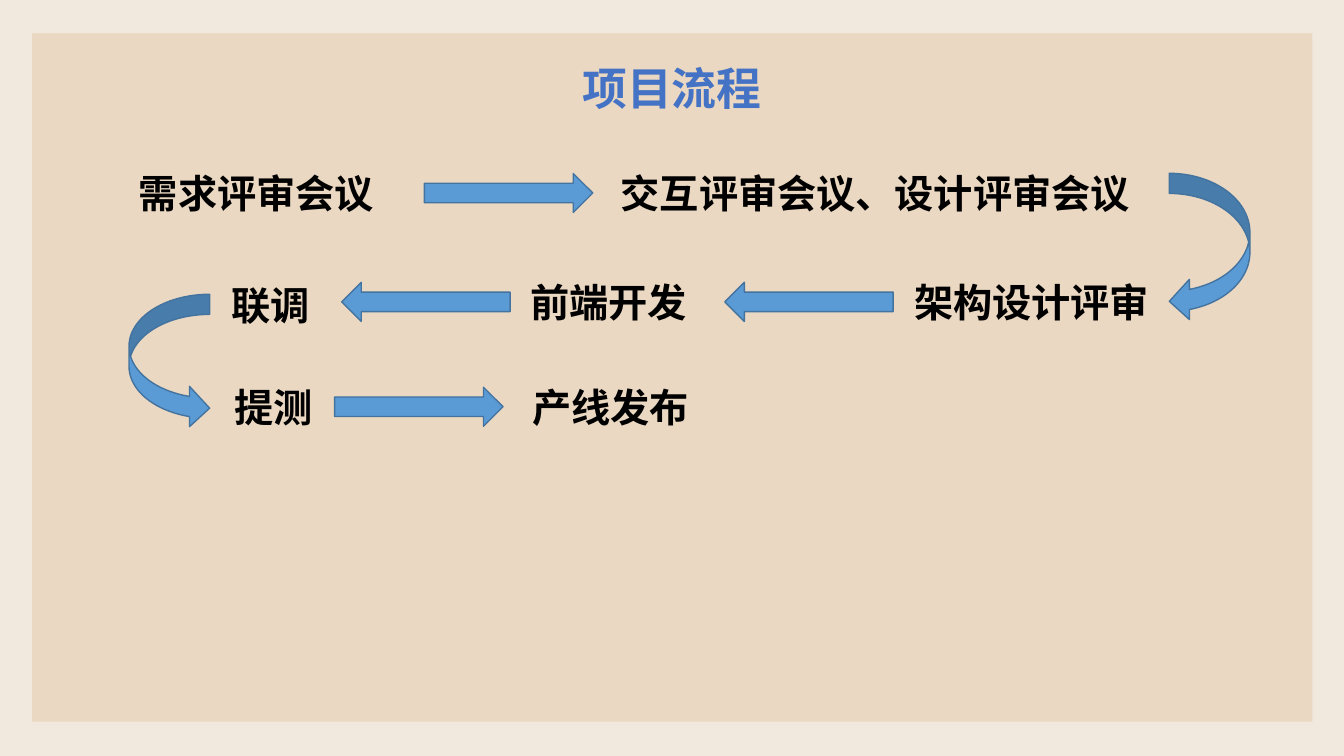
from collections import namedtuple

from lxml.etree import SubElement
from pptx import Presentation
from pptx.dml.color import RGBColor
from pptx.enum.shapes import MSO_SHAPE as Preset
from pptx.enum.text import MSO_ANCHOR as Anchor, MSO_AUTO_SIZE as Fit, PP_ALIGN as Align
from pptx.oxml.ns import qn
from pptx.util import Inches, Pt

Box = namedtuple("Box", "left top width height")

CJK_FONT = "Noto Sans CJK SC"
ARROW_WIDTH = 12.53
ROW_HEIGHT = 7.6
STEP_ROWS = [
    (21.73, Preset.RIGHT_ARROW, [31.58],
     [("需求评审会议", 9.6, 20.48, 0), ("交互评审会议、设计评审会议", 45.45, 39.98, 0)]),
    (36.13, Preset.LEFT_ARROW, [53.93, 25.43],
     [("架构设计评审", 67.28, 19.8, 0), ("前端开发", 38.7, 13.88, 0), ("联调", 16.5, 8.4, 5)]),
    (50, Preset.RIGHT_ARROW, [24.9],
     [("提测", 16.73, 23.33, 0), ("产线发布", 38.85, 15.08, 0)]),
]
TURNS = [
    (Preset.CURVED_LEFT_ARROW, 87, 22.93, 6, 19.6),
    (Preset.CURVED_RIGHT_ARROW, 9.6, 38.93, 6, 17.73),
]


def paint(target, color):
    target.rgb = RGBColor.from_string(color)


def share(box, left, top, width, height):
    return Box(
        int(box.left + box.width * left / 100),
        int(box.top + box.height * top / 100),
        int(box.width * width / 100),
        int(box.height * height / 100),
    )


def add_preset(page, preset, box, fill, line=None):
    shape = page.shapes.add_shape(preset, *box)
    shape.shadow.inherit = False
    shape.fill.solid()
    paint(shape.fill.fore_color, fill)
    if line:
        paint(shape.line.color, line)
        shape.line.width = Pt(1)
    else:
        shape.line.fill.background()


def write(shape, text, size, color, font, align):
    frame = shape.text_frame
    frame.word_wrap = True
    frame.auto_size = Fit.NONE
    frame.vertical_anchor = Anchor.MIDDLE
    para = frame.paragraphs[0]
    para.alignment = align
    para.line_spacing = 1.0
    span = para.add_run()
    span.text = text
    span.font.size = Pt(size)
    span.font.bold = True
    paint(span.font.color, color)
    span.font.name = font
    SubElement(span.font._element, qn("a:ea"), typeface=CJK_FONT)


def add_title(page, box):
    title = page.shapes.title
    title.left, title.top, title.width, title.height = box
    write(title, "项目流程", 32, "4472C4", CJK_FONT, Align.CENTER)


def add_arrow(page, preset, box):
    add_preset(page, preset, box, "5B9BD5", "43739E")


def add_step_row(page, box, preset, arrows, steps):
    for left in arrows:
        add_arrow(page, preset, share(box, left, 16, ARROW_WIDTH, 68))
    for text, left, width, drop in steps:
        label = page.shapes.add_textbox(*share(box, left, drop, width, 100))
        write(label, text, 28, "000000", "Calibri", Align.LEFT)


def add_flow(page, box):
    for top, preset, arrows, steps in STEP_ROWS:
        add_step_row(page, share(box, 0, top, 100, ROW_HEIGHT), preset, arrows, steps)
    for preset, *place in TURNS:
        add_arrow(page, preset, share(box, *place))


def build_process_page(deck, box):
    page = deck.slides.add_slide(deck.slide_layouts[5])
    page.background.fill.solid()
    paint(page.background.fill.fore_color, "F1E8DE")
    add_preset(page, Preset.RECTANGLE, share(box, 2.4, 4.4, 95.25, 91.07), "EAD8C2")
    title_element = page.shapes.title._element
    title_element.getparent().append(title_element)
    add_title(page, share(box, 5.18, 7.33, 89.63, 8.53))
    add_flow(page, box)


deck = Presentation()
deck.slide_width = Inches(13.33)
deck.slide_height = Inches(7.5)
build_process_page(deck, Box(0, 0, deck.slide_width, deck.slide_height))
deck.save("out.pptx")
